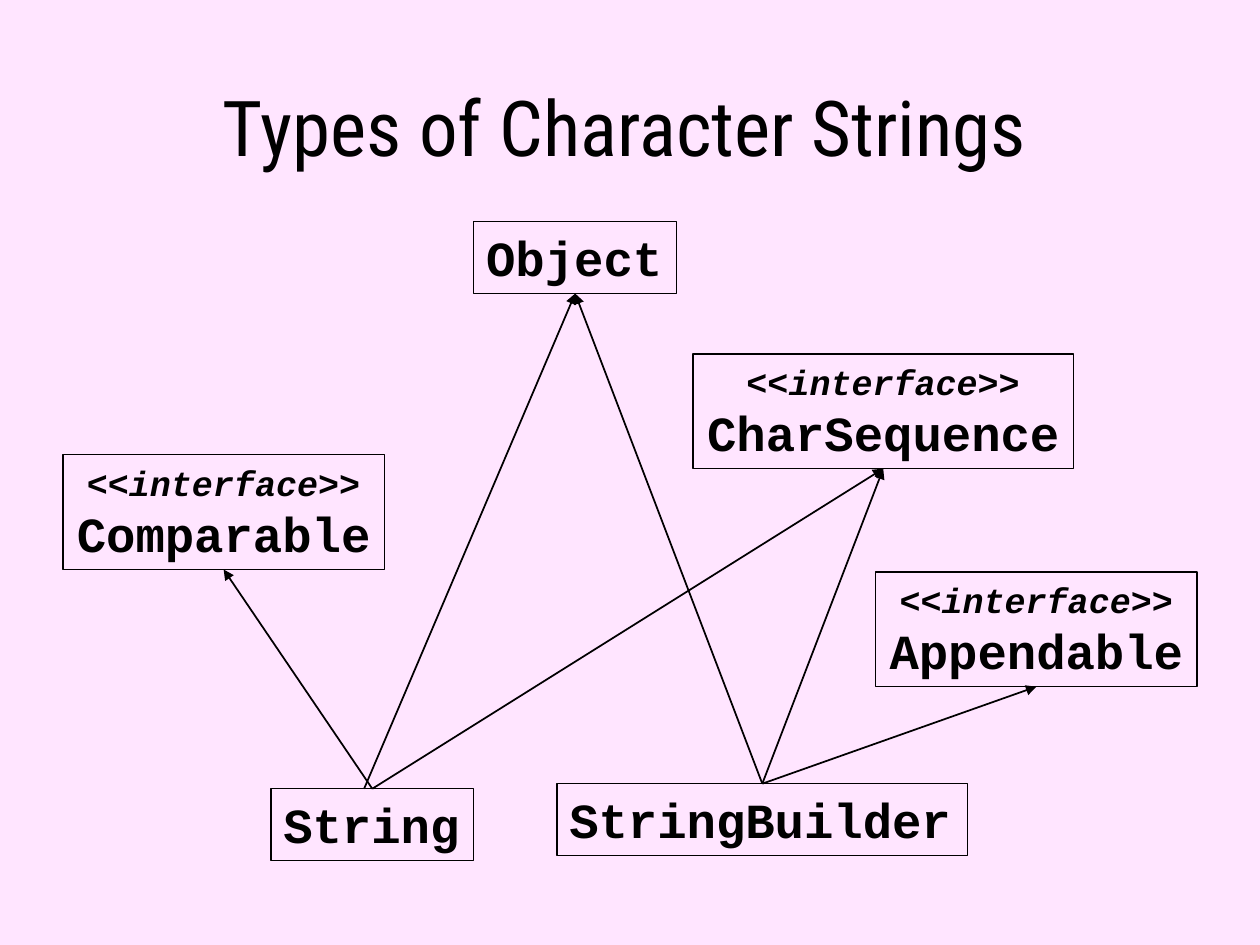
import pptx
import pptx.util
from lxml import etree
from pptx.dml.color import RGBColor
from pptx.enum.shapes import MSO_CONNECTOR, MSO_SHAPE
from pptx.enum.text import MSO_ANCHOR, PP_ALIGN
from pptx.oxml.ns import qn
from pptx.util import Inches

BLACK = "000000"
TOP, BOTTOM = 0, 2


def set_color(target, value):
    target.rgb = RGBColor.from_string(value)


def add_span(para, text, font, size, bold=False, italic=False):
    span = para.add_run()
    span.text = text
    span.font.name = font
    span.font.size = pptx.util.Pt(size)
    span.font.bold = bold
    span.font.italic = italic
    set_color(span.font.color, BLACK)


def add_title(page, text):
    box = page.shapes.add_textbox(Inches(0.75), Inches(0.58), Inches(8.42), Inches(0.75))
    box.text_frame.word_wrap = False
    para = box.text_frame.paragraphs[0]
    para.alignment = PP_ALIGN.CENTER
    add_span(para, text, "Roboto Condensed", 44)


def add_type(page, name, left, top, width, interface=False):
    """Add a class box, or a taller one with the interface stereotype."""
    height = 0.91 if interface else 0.57
    box = page.shapes.add_shape(
        MSO_SHAPE.RECTANGLE, Inches(left), Inches(top), Inches(width), Inches(height))
    box.shadow.inherit = False
    box.fill.background()
    set_color(box.line.color, BLACK)
    box.line.width = pptx.util.Pt(0.75)

    frame = box.text_frame
    frame.word_wrap = False
    frame.vertical_anchor = MSO_ANCHOR.TOP
    para = frame.paragraphs[0]
    if interface:
        para.alignment = PP_ALIGN.CENTER
        add_span(para, "<<interface>>", "Courier New", 20, bold=True, italic=True)
        para = frame.add_paragraph()
    para.alignment = PP_ALIGN.CENTER if interface else PP_ALIGN.LEFT
    add_span(para, name, "Courier New", 28, bold=True)
    return box


def add_arrow(page, subtype, supertype, start=None):
    """Point from the subtype's top, or a free start, to the supertype's bottom."""
    x, y = start or (0, 0)
    arrow = page.shapes.add_connector(
        MSO_CONNECTOR.STRAIGHT, Inches(x), Inches(y), Inches(x), Inches(y))
    if start is None:
        arrow.begin_connect(subtype, TOP)
    arrow.end_connect(supertype, BOTTOM)
    set_color(arrow.line.color, BLACK)
    arrow.line.width = pptx.util.Pt(1)
    properties = arrow._element.spPr
    etree.SubElement(properties.find(qn("a:ln")), qn("a:tailEnd"), type="triangle")
    etree.SubElement(properties, qn("a:effectLst"))


def main():
    deck = pptx.Presentation()
    deck.slide_width, deck.slide_height = Inches(10), Inches(7.5)
    page = deck.slides.add_slide(deck.slide_layouts[6])
    page.background.fill.solid()
    set_color(page.background.fill.fore_color, "FFE5FF")

    base = add_type(page, "Object", 3.76, 1.76, 1.61)
    comparable = add_type(page, "Comparable", 0.5, 3.61, 2.55, interface=True)
    sequence = add_type(page, "CharSequence", 5.5, 2.81, 3.02, interface=True)
    builder = add_type(page, "StringBuilder", 4.42, 6.22, 3.26)
    string = add_type(page, "String", 2.15, 6.26, 1.61)
    appendable = add_type(page, "Appendable", 6.95, 4.54, 2.55, interface=True)

    add_arrow(page, string, base, start=(2.89, 6.26))
    for subtype, supertypes in (
        (string, (comparable, sequence)),
        (builder, (base, sequence, appendable)),
    ):
        for supertype in supertypes:
            add_arrow(page, subtype, supertype)

    add_title(page, "Types of Character Strings")
    deck.save("out.pptx")


if __name__ == "__main__":
    main()
